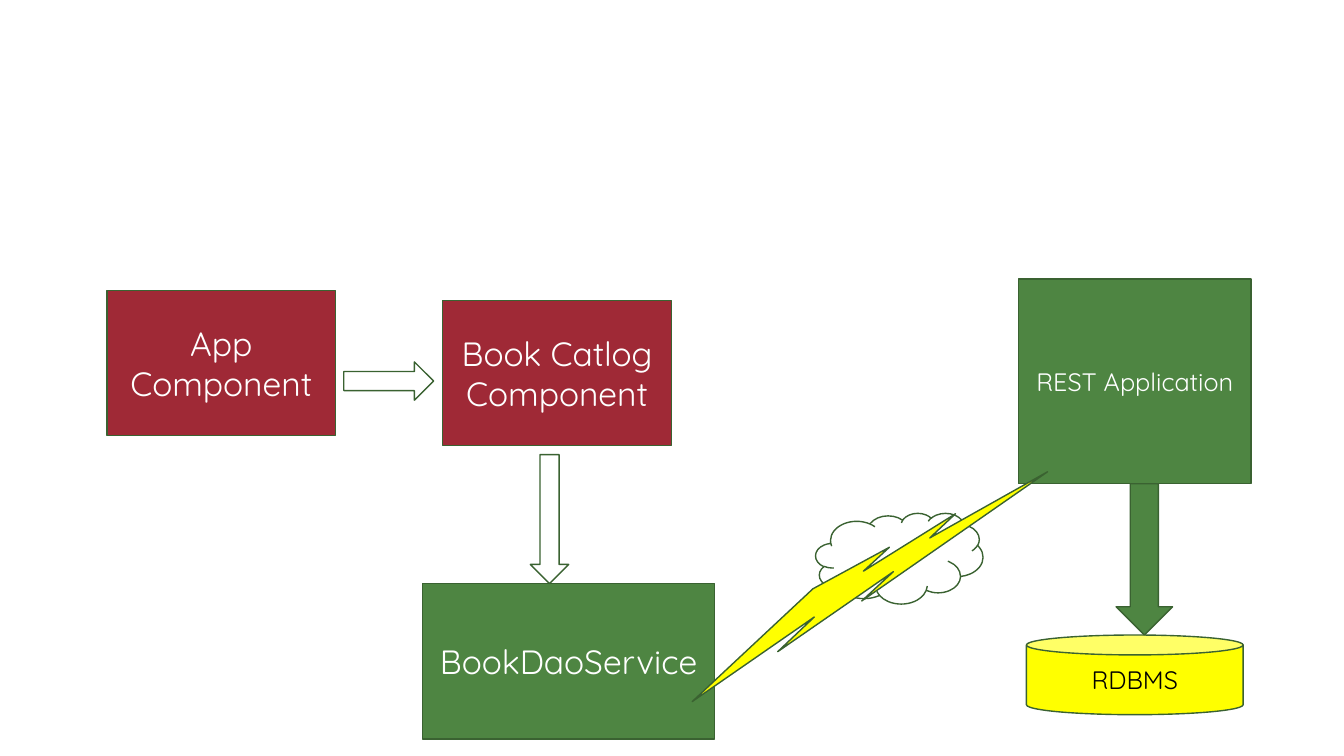
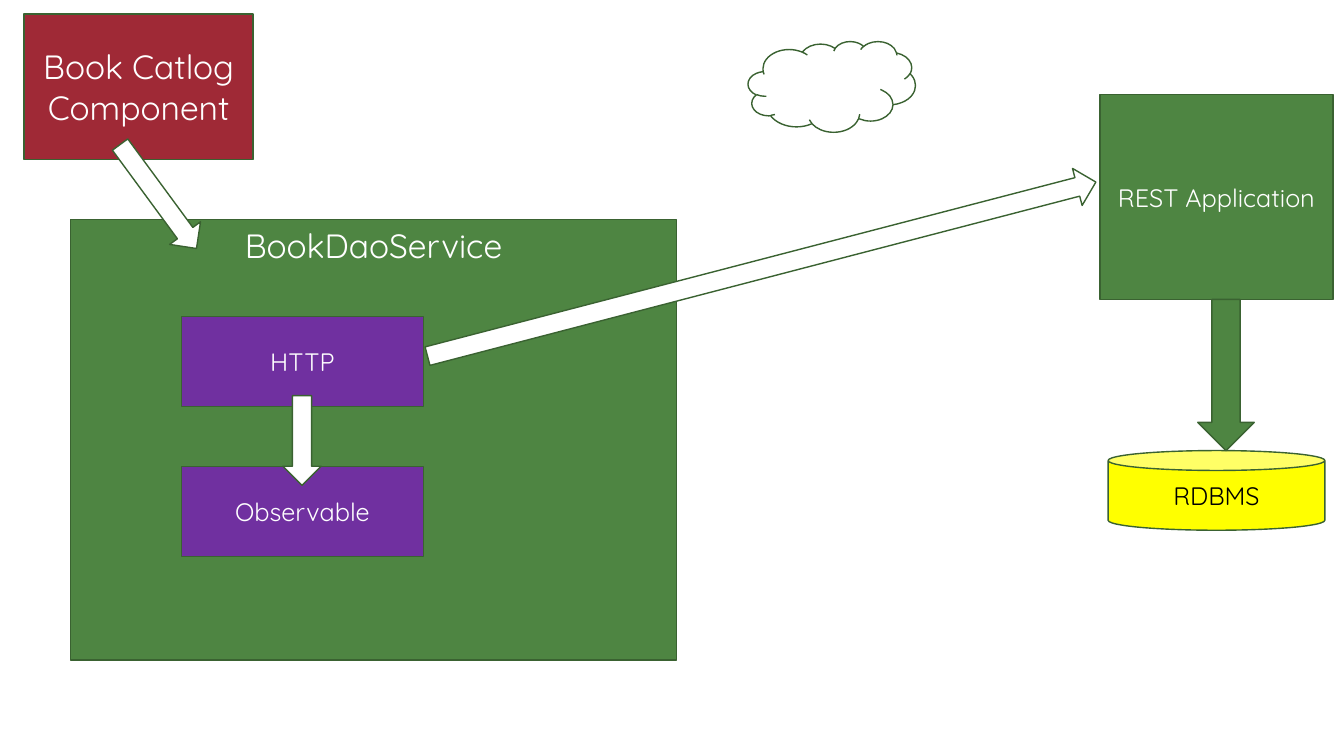
from dataclasses import dataclass

from pptx import Presentation
from pptx import util as u
from pptx.dml.color import RGBColor
from pptx.enum import shapes, text
from pptx.slide import Slide

Kind = shapes.MSO_SHAPE
EMU_PER_PX = 9144  # 100 px to the inch


@dataclass(frozen=True)
class Theme:
    font: str = "Quicksand"
    component: str = "9F2936"
    service: str = "4E8542"
    library: str = "7030A0"
    highlight: str = "FFFF00"
    white: str = "FFFFFF"
    black: str = "000000"
    outline: str = "3A6231"
    outline_pt: int = 1
    large_pt: int = 24
    small_pt: int = 18


THEME = Theme()


@dataclass(frozen=True)
class Node:
    """A preset shape; left, top, width and height are in px."""
    left: int
    top: int
    width: int
    height: int
    fill: str = THEME.white
    label: str = ""
    size: int = THEME.small_pt
    color: str = THEME.white
    kind: Kind = Kind.RECTANGLE
    rotation: float = 0
    anchor: text.MSO_ANCHOR = text.MSO_ANCHOR.MIDDLE


def px(length: int) -> u.Emu:
    return u.Emu(length * EMU_PER_PX)


def draw(slide: Slide, nodes: list[Node]) -> None:
    for node in nodes:
        shape = slide.shapes.add_shape(
            node.kind, px(node.left), px(node.top), px(node.width), px(node.height))
        shape.rotation = node.rotation
        shape.shadow.inherit = False
        shape.fill.solid()
        shape.fill.fore_color.rgb = RGBColor.from_string(node.fill)
        shape.line.color.rgb = RGBColor.from_string(THEME.outline)
        shape.line.width = u.Pt(THEME.outline_pt)
        if node.label:
            write_label(shape.text_frame, node)


def write_label(frame, node: Node) -> None:
    frame.word_wrap = True
    frame.vertical_anchor = node.anchor
    paragraph = frame.paragraphs[0]
    paragraph.alignment = text.PP_ALIGN.CENTER
    run = paragraph.add_run()
    run.text = node.label
    run.font.name = THEME.font
    run.font.size = u.Pt(node.size)
    run.font.color.rgb = RGBColor.from_string(node.color)


def component(left: int, top: int, label: str) -> Node:
    return Node(left, top, 227, 144, THEME.component, label, THEME.large_pt)


def library(top: int, label: str) -> Node:
    return Node(180, top, 240, 89, THEME.library, label)


def dao_service(left: int, top: int, width: int, height: int,
                anchor: text.MSO_ANCHOR = text.MSO_ANCHOR.MIDDLE) -> Node:
    return Node(left, top, width, height, THEME.service, "BookDaoService",
                THEME.large_pt, anchor=anchor)


def call_arrow(left: int, top: int, length: int, rotation: float = 0) -> Node:
    return Node(left, top, length, 38, kind=Kind.RIGHT_ARROW, rotation=rotation)


def cloud(left: int, top: int) -> Node:
    return Node(left, top, 166, 90, kind=Kind.CLOUD)


def backend(left: int, top: int) -> list[Node]:
    """The REST application, with an arrow down to its database."""
    rest_height, arrow_height = 203, 150
    arrow_top = top + rest_height
    return [
        Node(left, top, 231, rest_height, THEME.service, "REST Application"),
        Node(left + 8, arrow_top + arrow_height, 215, 79, THEME.highlight, "RDBMS",
             color=THEME.black, kind=Kind.CAN),
        Node(left + 97, arrow_top, 56, arrow_height, THEME.service,
             kind=Kind.DOWN_ARROW),
    ]


def overview() -> list[Node]:
    return [
        component(106, 288, "App Component"),
        component(439, 298, "Book Catlog Component"),
        call_arrow(341, 359, 89),
        *backend(1010, 277),
        cloud(809, 509),
        dao_service(419, 579, 290, 154),
        Node(651, 549, 417, 58, THEME.highlight,
             kind=Kind.LIGHTNING_BOLT, rotation=320.6),
        call_arrow(481, 496, 128, 90),
    ]


def service_detail() -> list[Node]:
    return [
        component(24, 14, "Book Catlog Component"),
        *backend(1091, 94),
        cloud(742, 41),
        dao_service(70, 218, 601, 437, text.MSO_ANCHOR.TOP),
        call_arrow(93, 176, 128, 53.7),
        library(314, "HTTP"),
        call_arrow(413, 248, 685, 345.4),
        library(463, "Observable"),
        call_arrow(255, 418, 89, 90),
    ]


def main() -> None:
    deck = Presentation()
    deck.slide_width, deck.slide_height = px(1333), px(750)
    blank = deck.slide_layouts.get_by_name("Blank")
    for nodes in (overview(), service_detail()):
        draw(deck.slides.add_slide(blank), nodes)
    deck.save("out.pptx")


if __name__ == "__main__":
    main()
